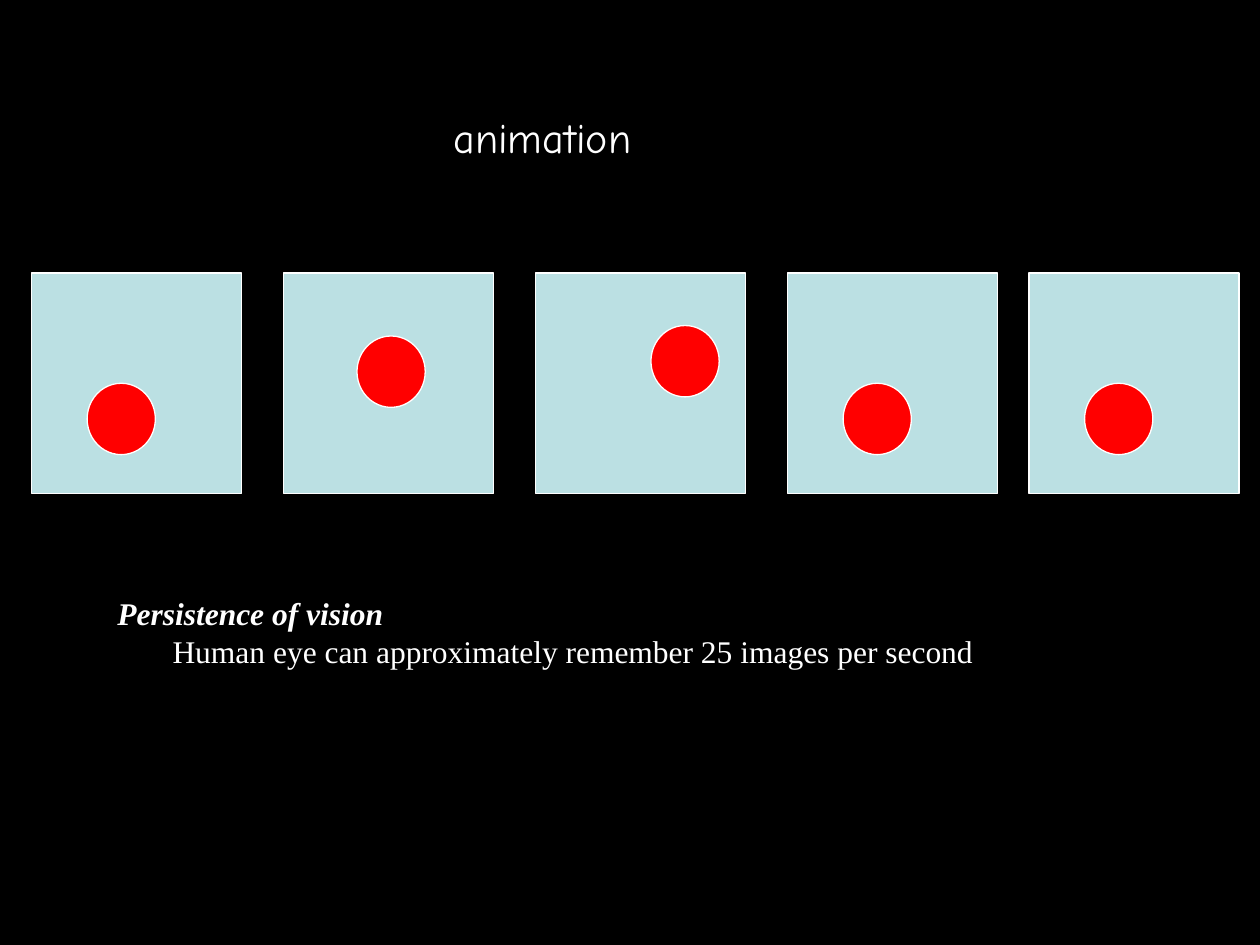
from pptx import Presentation
from pptx.dml.color import RGBColor
from pptx.enum.shapes import MSO_SHAPE
from pptx.enum.text import MSO_AUTO_SIZE
from pptx.util import Inches, Pt

RECTANGLE = MSO_SHAPE.RECTANGLE
OVAL = MSO_SHAPE.OVAL
FIT_SHAPE = MSO_AUTO_SIZE.SHAPE_TO_FIT_TEXT

presentation = Presentation()
presentation.slide_width = Inches(10)
presentation.slide_height = Inches(7.5)
COLUMN = presentation.slide_width / 120
ROW = presentation.slide_height / 90


def color(hex_string):
    return RGBColor.from_string(hex_string)


def write(frame, text, first=False, font="Times New Roman", size=18, bold=False, italic=False, indent=0):
    paragraph = frame.paragraphs[0] if first else frame.add_paragraph()
    paragraph._p.get_or_add_pPr().set("marL", str(round(indent * COLUMN)))
    run = paragraph.add_run()
    run.text = text
    run.font.name = font
    run.font.size = Pt(size)
    run.font.bold = bold
    run.font.italic = italic
    run.font.color.rgb = color("FFFFFF")


slide = presentation.slides.add_slide(presentation.slide_layouts[6])
slide.background.fill.solid()
slide.background.fill.fore_color.rgb = color("000000")

frames = []
for left, top, width, height in [(42, 10, 34, 6), (10, 56, 94, 8.4)]:
    box = slide.shapes.add_textbox(
        round(left * COLUMN), round(top * ROW), round(width * COLUMN), round(height * ROW)
    )
    box.text_frame.word_wrap = True
    box.text_frame.auto_size = FIT_SHAPE
    frames.append(box.text_frame)

title, caption = frames
write(title, "animation", first=True, font="Comic Neue", size=24)
write(caption, "Persistence of vision", first=True, bold=True, italic=True)
write(caption, "Human eye can approximately remember 25 images per second", indent=5.25)

panel_top = 26
panels = [(3, 5.3, 10.5), (27, 7, 6), (51, 11, 5), (75, 5.3, 10.5), (98, 5.3, 10.5)]
for panel_left, ball_column, ball_row in panels:
    group = slide.shapes.add_group_shape()
    parts = [
        (RECTANGLE, "BBE0E3", panel_left, panel_top, 20, 21),
        (OVAL, "FF0000", panel_left + ball_column, panel_top + ball_row, 6.5, 6.8),
    ]
    for kind, fill, left, top, width, height in parts:
        shape = group.shapes.add_shape(
            kind, round(left * COLUMN), round(top * ROW), round(width * COLUMN), round(height * ROW)
        )
        shape.shadow.inherit = False
        shape.fill.solid()
        shape.fill.fore_color.rgb = color(fill)
        shape.line.color.rgb = color("FFFFFF")
        shape.line.width = Pt(0.75)

presentation.save("out.pptx")
